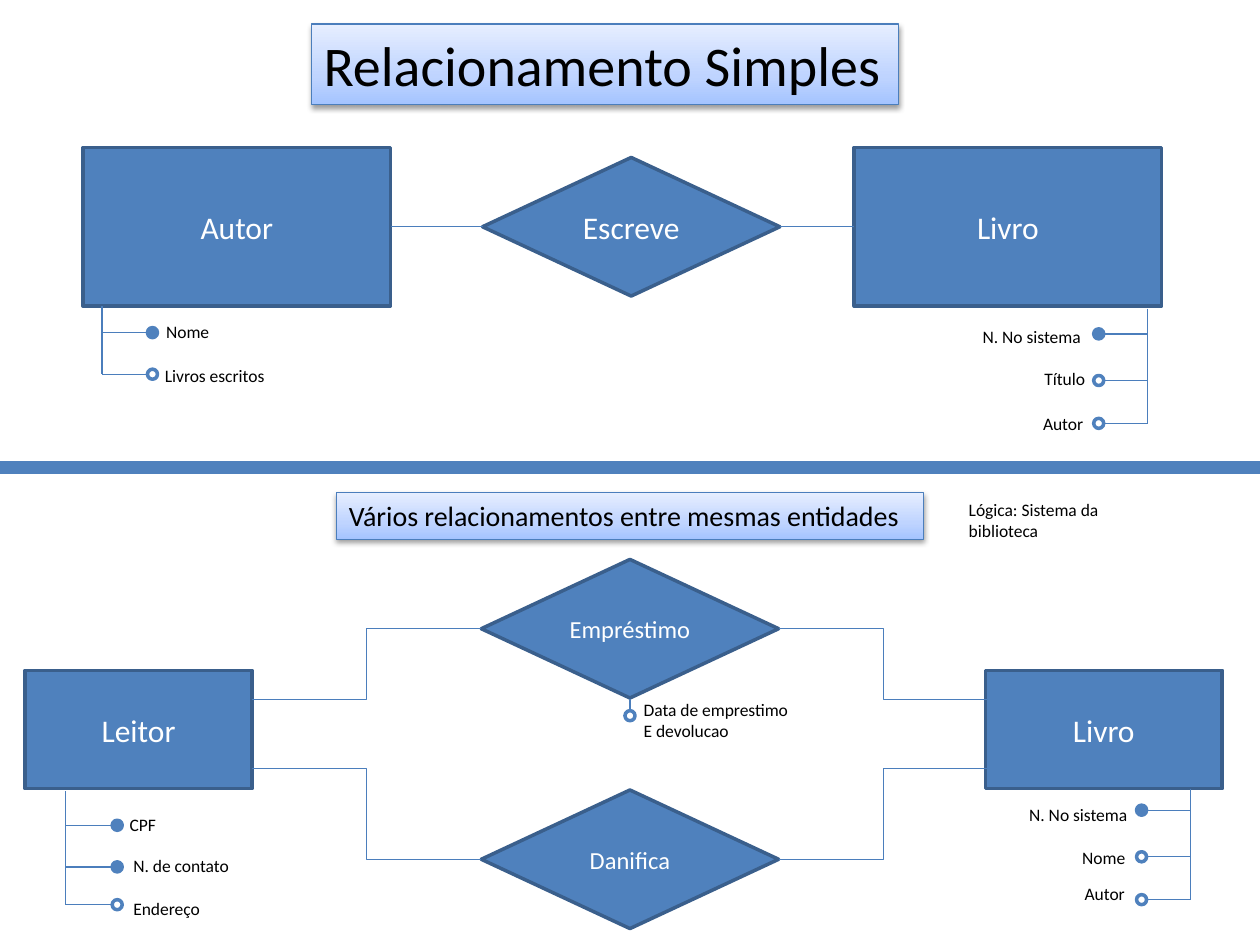
from lxml import etree
from pptx import Presentation, util as u
from pptx.dml.color import RGBColor
from pptx.enum import shapes, text
from pptx.oxml import ns

COLUMNS, ROWS = 100, 75
CELL = u.Inches(0.1)
DOT = 0.8
BLUE, EDGE, WIRE = "4F81BD", "3A5F8C", "4B7EBC"
WHITE, BLACK = "FFFFFF", "000000"
BANNER_STOPS = ((0, "A4C4FF"), (35, "BFD4FF"), (100, "E6EEFF"))
KIND = shapes.MSO_SHAPE


def cells(*counts):
    return [round(count * CELL) for count in counts]


def paint(color_format, value):
    color_format.rgb = RGBColor.from_string(value)


def child(parent, tag, **attributes):
    return etree.SubElement(parent, ns.qn(tag), attributes)


def write(frame, words, size=10, color=BLACK, align=text.PP_ALIGN.LEFT,
          anchor=text.MSO_ANCHOR.TOP):
    frame.word_wrap = True
    frame.vertical_anchor = anchor
    for index, line in enumerate(words.split("\n")):
        paragraph = frame.add_paragraph() if index else frame.paragraphs[0]
        paragraph.alignment = align
        run = paragraph.add_run()
        run.text = line
        run.font.name = "Calibri"
        run.font.size = u.Pt(size)
        paint(run.font.color, color)


def block(slide, kind, box, fill=BLUE, edge=BLUE, weight=2):
    shape = slide.shapes.add_shape(kind, *cells(*box))
    shape.shadow.inherit = False
    shape.fill.solid()
    paint(shape.fill.fore_color, fill)
    paint(shape.line.color, edge)
    shape.line.width = u.Pt(weight)
    return shape


def node(slide, kind, box, words, size=18):
    shape = block(slide, kind, box, edge=EDGE)
    write(shape.text_frame, words, size=size, color=WHITE,
          align=text.PP_ALIGN.CENTER, anchor=text.MSO_ANCHOR.MIDDLE)


def banner(slide, box, words, size):
    shape = block(slide, KIND.RECTANGLE, box, edge=WIRE, weight=0.75)
    shape.fill.gradient()
    gradient = shape.element.spPr.find(ns.qn("a:gradFill"))
    for part in list(gradient):
        gradient.remove(part)
    stops = child(gradient, "a:gsLst")
    for share, color in BANNER_STOPS:
        stop = child(stops, "a:gs", pos=str(share * 1000))
        child(stop, "a:srgbClr", val=color)
    child(gradient, "a:lin", ang="16200000", scaled="0")
    effects = shape.element.spPr.find(ns.qn("a:effectLst"))
    shadow = child(effects, "a:outerShdw", blurRad=str(u.Pt(3.1)),
                   dist=str(u.Pt(1.6)), dir="5400000", rotWithShape="0")
    shade = child(shadow, "a:srgbClr", val=BLACK)
    child(shade, "a:alpha", val="38000")
    write(shape.text_frame, words, size=size)


def wire(slide, start, end, kind=shapes.MSO_CONNECTOR.STRAIGHT):
    connector = slide.shapes.add_connector(kind, *cells(*start, *end))
    paint(connector.line.color, WIRE)
    connector.line.width = u.Pt(0.75)
    child(connector.element.spPr, "a:effectLst")


def dot(slide, column, row, is_key=False):
    box = (column - DOT / 2, row - DOT / 2, DOT, DOT)
    block(slide, KIND.OVAL, box, fill=BLUE if is_key else WHITE)


def label(slide, box, words):
    write(slide.shapes.add_textbox(*cells(*box)).text_frame, words)


def attributes(slide, stem, top, dots, entries):
    wire(slide, (stem, top), (stem, entries[-1][0]))
    for row, is_key, words, left, label_top, width in entries:
        wire(slide, (dots, row), (stem, row))
        dot(slide, dots, row, is_key)
        label(slide, (left, label_top, width, 2.7), words)


def simple_relationship(slide):
    banner(slide, (24.7, 1.9, 46.6, 6.4), "Relacionamento Simples", 32)
    node(slide, KIND.RECTANGLE, (6.6, 11.7, 24.4, 12.6), "Autor")
    node(slide, KIND.RECTANGLE, (67.8, 11.7, 24.4, 12.6), "Livro")
    node(slide, KIND.FLOWCHART_DECISION, (38.3, 12.5, 23.6, 11), "Escreve")
    wire(slide, (31, 18), (38.3, 18))
    wire(slide, (61.9, 18), (67.8, 18))
    attributes(slide, 8.1, 24.3, 12.1, (
        (26.4, True, "Nome", 12.2, 25, 20.6),
        (29.7, False, "Livros escritos", 12.1, 28.5, 16.7)))
    attributes(slide, 91.1, 24.5, 87.2, (
        (26.5, True, "N. No sistema", 77, 25.4, 11.8),
        (30.2, False, "Título", 81.9, 28.7, 7.1),
        (33.6, False, "Autor", 81.8, 32.3, 5.4)))


def several_relationships(slide):
    banner(slide, (26.7, 39.1, 46.6, 3.7),
           "Vários relacionamentos entre mesmas entidades", 16)
    label(slide, (75.9, 39.1, 16.7, 4.4), "Lógica: Sistema da biblioteca")
    node(slide, KIND.RECTANGLE, (2, 53.2, 18, 9.4), "Leitor")
    node(slide, KIND.RECTANGLE, (78.2, 53.2, 18.8, 9.4), "Livro")
    for words, top, entity_row in (("Empréstimo", 44.4, 55.5),
                                   ("Danifica", 62.7, 61)):
        node(slide, KIND.FLOWCHART_DECISION, (38.2, top, 23.6, 11), words, 14)
        middle = top + 5.5
        elbow = shapes.MSO_CONNECTOR.ELBOW
        wire(slide, (20, entity_row), (38.2, middle), elbow)
        wire(slide, (61.8, middle), (78.4, entity_row), elbow)
    wire(slide, (50, 55.5), (50, 56.4))
    dot(slide, 50, 56.8)
    label(slide, (50.1, 55, 16.7, 4.4), "Data de emprestimo\nE devolucao")
    attributes(slide, 5.2, 62.8, 9.3, (
        (65.5, True, "CPF", 9.3, 64.1, 7.1),
        (68.8, True, "N. de contato", 9.6, 67.4, 12.9),
        (71.8, False, "Endereço", 9.6, 70.8, 7.6)))
    attributes(slide, 94.5, 62.6, 90.6, (
        (64.3, True, "N. No sistema", 80.7, 63.3, 10.6),
        (68, False, "Nome", 84.9, 66.7, 7.1),
        (71.4, False, "Autor", 85.1, 69.6, 7.1)))


def main():
    deck = Presentation()
    deck.slide_width, deck.slide_height = cells(COLUMNS, ROWS)
    slide = deck.slides.add_slide(deck.slide_layouts[6])
    simple_relationship(slide)
    block(slide, KIND.RECTANGLE, (0, 36.7, COLUMNS, 0.8))
    several_relationships(slide)
    deck.save("out.pptx")


if __name__ == "__main__":
    main()
